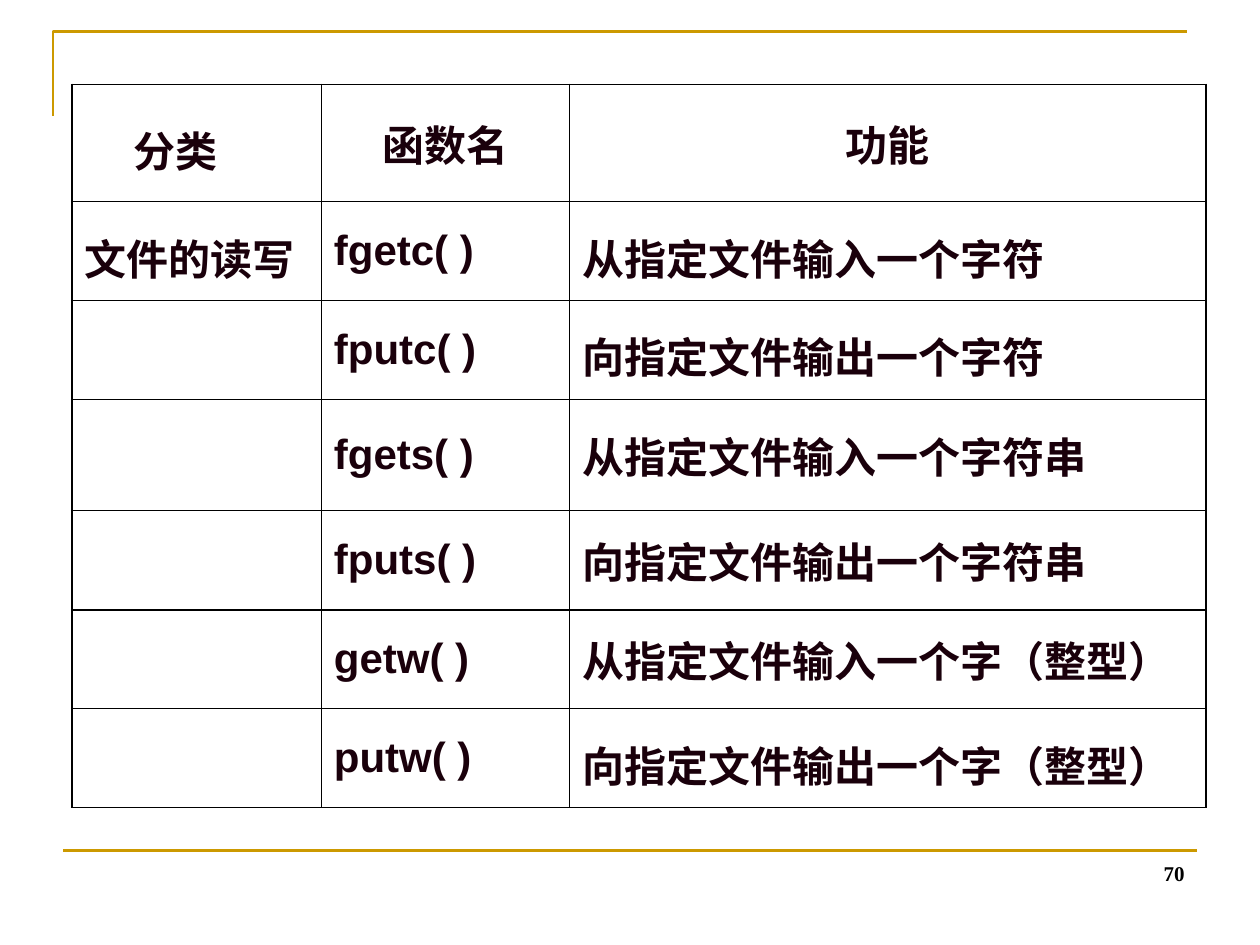
from dataclasses import dataclass

from lxml import etree
from pptx import Presentation
from pptx.dml.color import RGBColor
from pptx.enum.shapes import MSO_CONNECTOR
from pptx.enum.text import MSO_ANCHOR, PP_ALIGN
from pptx.oxml.ns import qn
from pptx.util import Inches, Pt

LEFT, MID, RIGHT = PP_ALIGN.LEFT, PP_ALIGN.CENTER, PP_ALIGN.RIGHT
CENTRE, BOTTOM = MSO_ANCHOR.MIDDLE, MSO_ANCHOR.BOTTOM
STRAIGHT = MSO_CONNECTOR.STRAIGHT


@dataclass(frozen=True)
class Theme:
    gold: str = "CC9900"
    ink: str = "1A000B"
    black: str = "000000"
    white: str = "FFFFFF"
    body: str = "Arial"
    serif: str = "Times New Roman"
    cell_size: int = 24
    page_size: int = 12
    rule: float = 1.5
    thick: float = 1.08
    thin: float = 0.45


THEME = Theme()
COLS = [1.98, 1.97, 5.05]
HEIGHTS = [0.93, 0.78, 0.79, 0.88, 0.79, 0.78, 0.79]
ROWS = [
    ("分类\t", "函数名", "功能"),
    ("文件的读写", "fgetc( )", "从指定文件输入一个字符"),
    ("", "fputc( )", "向指定文件输出一个字符"),
    ("", "fgets( )", "从指定文件输入一个字符串"),
    ("", "fputs( )", "向指定文件输出一个字符串"),
    ("", "getw( )", "从指定文件输入一个字（整型）"),
    ("", "putw( )", "向指定文件输出一个字（整型）"),
]
LOOSE = {(0, 0), (1, 0), (1, 2), (2, 2), (6, 2)}  # cells with wider line spacing
HEAVY = {0, 5, len(ROWS)}  # row edges drawn thick


def put_text(frame, text, *, size=THEME.cell_size, font=THEME.body,
             color=THEME.ink, align=LEFT, spacing=None):
    frame.word_wrap = True
    para = frame.paragraphs[0]
    para.alignment = align
    para.line_spacing = spacing
    run = para.add_run()
    run.text = text
    run.font.size = Pt(size)
    run.font.name = font
    run.font.bold = True
    run.font.color.rgb = RGBColor.from_string(color)


def style_line(line):
    line.color.rgb = RGBColor.from_string(THEME.gold)
    line.width = Pt(THEME.rule)


def add_corner(slide):
    pen = slide.shapes.build_freeform(Inches(0.42), Inches(0.92))
    pen.add_line_segments([(Inches(0.42), Inches(0.25)),
                           (Inches(9.42), Inches(0.25))], close=False)
    shape = pen.convert_to_shape()
    shape.shadow.inherit = False
    shape.fill.background()
    style_line(shape.line)


def add_rule(slide):
    rule = slide.shapes.add_connector(
        STRAIGHT, Inches(0.5), Inches(6.75), Inches(9.5), Inches(6.75))
    style_line(rule.line)
    etree.SubElement(rule._element.spPr, qn("a:effectLst"))


def add_page(slide, number):
    box = slide.shapes.add_textbox(
        Inches(7.17), Inches(6.58), Inches(2.33), Inches(0.5))
    box.text_frame.vertical_anchor = BOTTOM
    put_text(box.text_frame, number, size=THEME.page_size, font=THEME.serif,
             color=THEME.black, align=RIGHT)


def set_edges(cell, row, col):
    """Draw the cell borders; the outer frame and heavy row edges are thick."""
    heavy = {"L": col == 0, "R": col == len(COLS) - 1,
             "T": row in HEAVY, "B": row + 1 in HEAVY}
    props = cell._tc.get_or_add_tcPr()
    for side, thick in heavy.items():
        width = Pt(THEME.thick if thick else THEME.thin)
        edge = etree.SubElement(props, qn(f"a:ln{side}"), w=str(width))
        fill = etree.SubElement(edge, qn("a:solidFill"))
        etree.SubElement(fill, qn("a:srgbClr"), val=THEME.black)


def add_grid(slide):
    table = slide.shapes.add_table(
        len(ROWS), len(COLS), Inches(0.57), Inches(0.67),
        Inches(sum(COLS)), Inches(sum(HEIGHTS))).table
    table.first_row = table.horz_banding = False
    for col, width in enumerate(COLS):
        table.columns[col].width = Inches(width)
    for row, texts in enumerate(ROWS):
        table.rows[row].height = Inches(HEIGHTS[row])
        for col, text in enumerate(texts):
            cell = table.cell(row, col)
            set_edges(cell, row, col)
            cell.fill.solid()
            cell.fill.fore_color.rgb = RGBColor.from_string(THEME.white)
            cell.vertical_anchor = CENTRE
            if text:
                put_text(cell.text_frame, text, align=LEFT if row else MID,
                         spacing=1.2 if (row, col) in LOOSE else None)


def main():
    deck = Presentation()
    deck.slide_width, deck.slide_height = Inches(10), Inches(7.5)
    slide = deck.slides.add_slide(deck.slide_layouts[6])
    add_corner(slide)
    add_rule(slide)
    add_page(slide, "70")
    add_grid(slide)
    deck.save("out.pptx")


if __name__ == "__main__":
    main()
